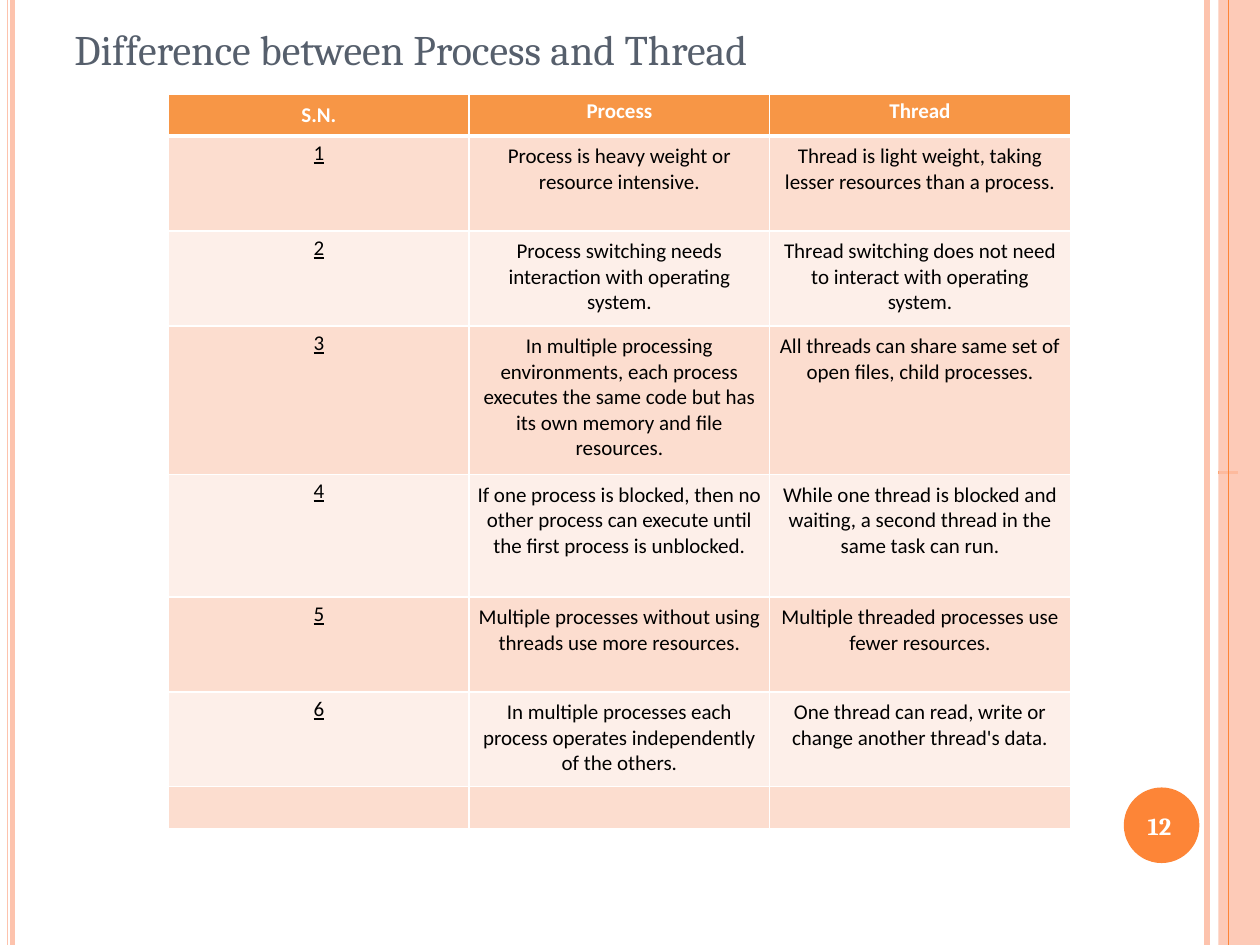
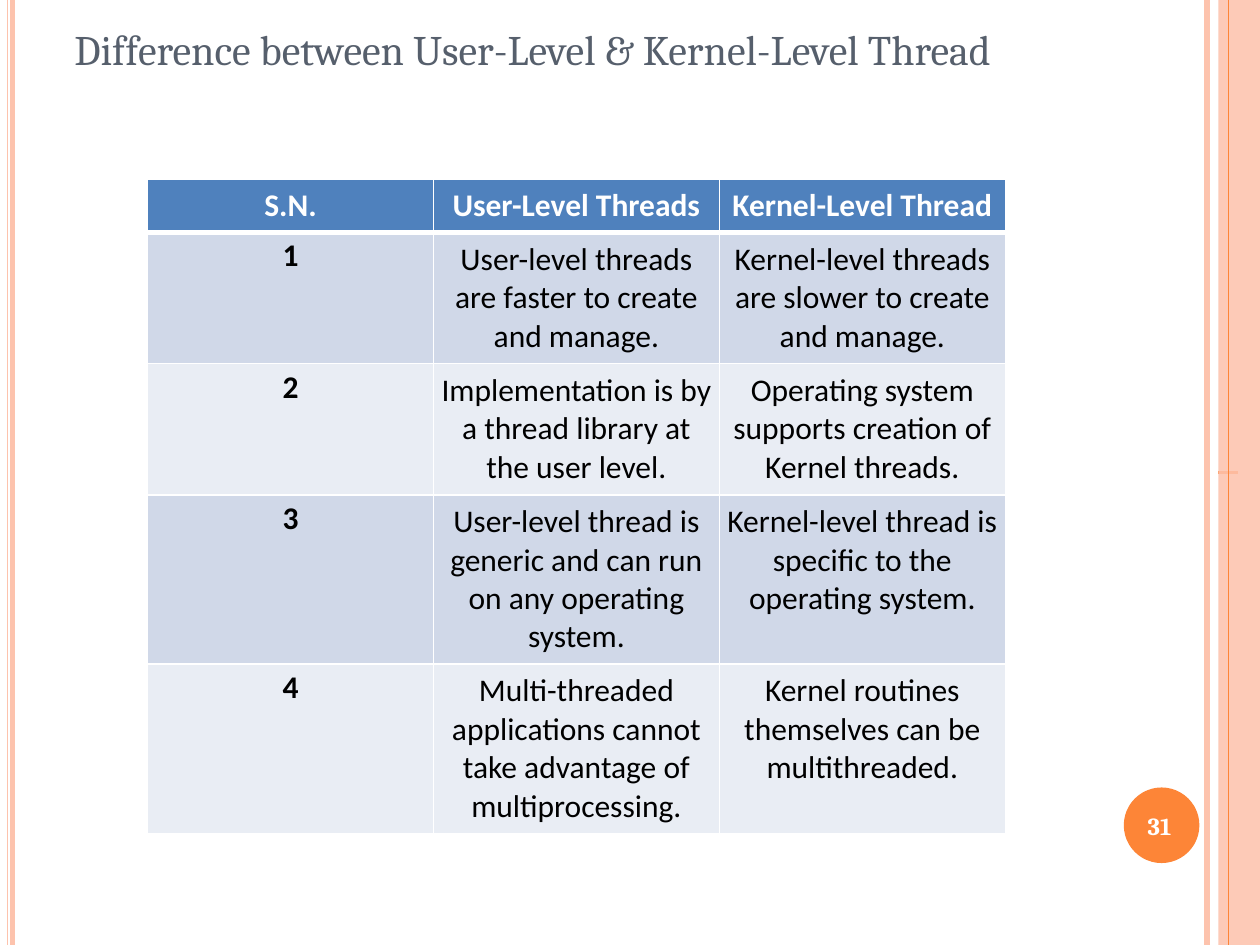
from lxml import etree
from pptx import Presentation
from pptx.dml.color import RGBColor
from pptx.enum import shapes, text
from pptx.oxml.ns import qn
from pptx.util import Pt

COLORS = {
    "title": "565F6C", "peach": "FDC3AD", "orange": "FD8537",
    "white": "FFFFFF", "black": "000000",
}
ORANGE_TABLE = {"head": "F79646", "bands": ("FCDDCF", "FDEFE9")}
BLUE_TABLE = {"head": "4F81BD", "bands": ("D0D8E8", "E9EDF4")}
HEAD_FONT, BODY_FONT = "Cambria", "Calibri"
WIDTH, HEIGHT = 720, 540
ROOMY, TIGHT = (4.5, 4.5), (5.25, 2.6)  # cell insets: sides, top and bottom


def rgb(name):
    return RGBColor.from_string(COLORS.get(name, name))


def add_solid_fill(parent, name):
    fill = etree.SubElement(parent, qn("a:solidFill"))
    return etree.SubElement(fill, qn("a:srgbClr"), val=COLORS[name])


class Deck:
    def __init__(self):
        self.prs = Presentation()
        self.prs.slide_width, self.prs.slide_height = Pt(WIDTH), Pt(HEIGHT)
        self.slide = None

    def new_slide(self, title, number):
        self.slide = self.prs.slides.add_slide(self.prs.slide_layouts[6])
        self.frame()
        self.label(title, (42.5, 13.7, 636, 29), 24, "title")
        page = self.label(str(number), (653.8, 465.1, 20, 16), 14, "white", bold=True)
        page.margin_left = Pt(2)
        page.paragraphs[0].line_spacing = Pt(15.3)

    def frame(self):
        """Draw the side rules, the right band and the page number disc."""
        for x, weight in ((689.8, 3), (7.2, 2.7), (4.3, 0.9)):
            self.line((x, 0, x, HEIGHT), "peach", weight)
        self.line((696.2, 270, 707.3, 270), "orange", 1.5)
        band = self.shape(shapes.MSO_SHAPE.RECTANGLE, (696.2, 0, 23.8, HEIGHT), "peach")
        color = band.fill._xPr.find(qn("a:solidFill"))[0]
        etree.SubElement(color, qn("a:alpha"), val="87000")
        self.line((702, 0, 702, HEIGHT), "orange", 0.75)
        self.shape(shapes.MSO_SHAPE.OVAL, (642.2, 450, 43.2, 43.2), "orange")

    def line(self, ends, color, weight):
        rule = self.slide.shapes.add_connector(
            shapes.MSO_CONNECTOR.STRAIGHT, *(Pt(v) for v in ends))
        rule.line.color.rgb = rgb(color)
        rule.line.width = Pt(weight)
        etree.SubElement(rule._element.spPr, qn("a:effectLst"))

    def shape(self, kind, box, color):
        shape = self.slide.shapes.add_shape(kind, *(Pt(v) for v in box))
        shape.shadow.inherit = False
        shape.fill.solid()
        shape.fill.fore_color.rgb = rgb(color)
        shape.line.fill.background()
        return shape

    def style(self, paragraph, font, size, color, bold=False, underline=False):
        for run in paragraph.runs:
            run.font.name, run.font.size = font, Pt(size)
            run.font.bold, run.font.underline = bold, underline
            run.font.color.rgb = rgb(color)

    def label(self, words, box, size, color, bold=False):
        frame = self.slide.shapes.add_textbox(*(Pt(v) for v in box)).text_frame
        frame.word_wrap = True
        frame.margin_left = frame.margin_right = 0
        frame.margin_top = frame.margin_bottom = 0
        frame.text = words
        self.style(frame.paragraphs[0], HEAD_FONT, size, color, bold)
        return frame

    def borders(self, cell, top, bottom):
        props = cell._tc.get_or_add_tcPr()
        for side, weight in zip("LRTB", (1, 1, top, bottom)):
            edge = etree.SubElement(props, qn(f"a:ln{side}"), w=str(Pt(weight)))
            add_solid_fill(edge, "white")

    def table(self, rows, origin, col_width, heights, size, theme,
              number_style, tight_heads=False):
        columns = len(rows[0])
        table = self.slide.shapes.add_table(
            len(rows), columns, *(Pt(v) for v in origin),
            Pt(col_width * columns), Pt(sum(heights))).table
        for column in table.columns:
            column.width = Pt(col_width)
        for r, (row, height) in enumerate(zip(rows, heights)):
            table.rows[r].height = Pt(height)
            for c, words in enumerate(row):
                cell = table.cell(r, c)
                tight = c == 0 if r else tight_heads and c > 0
                side, end = TIGHT if tight else ROOMY
                if not words:
                    end = 0
                cell.margin_left = cell.margin_right = Pt(side)
                cell.margin_top = cell.margin_bottom = Pt(end)
                self.borders(cell, 3 if r == 1 else 1, 1 if r else 3)
                cell.fill.solid()
                cell.fill.fore_color.rgb = rgb(
                    theme["bands"][(r - 1) % 2] if r else theme["head"])
                if not words:
                    continue
                cell.text_frame.text = words
                paragraph = cell.text_frame.paragraphs[0]
                paragraph.alignment = text.PP_ALIGN.CENTER
                if r == 0:
                    look = {"color": "white", "bold": True}
                else:
                    look = {"color": "black", **(number_style if c == 0 else {})}
                self.style(paragraph, BODY_FONT, size, **look)


def numbered(head, pairs):
    """Put a serial number before each pair, under the head row."""
    return [("S.N.", *head)] + [(str(n), *pair) for n, pair in enumerate(pairs, 1)]


PROCESS_THREAD = numbered(("Process", "Thread"), [
    ("Process is heavy weight or resource intensive.",
     "Thread is light weight, taking lesser resources than a process."),
    ("Process switching needs interaction with operating system.",
     "Thread switching does not need to interact with operating system."),
    ("In multiple processing environments, each process executes the same code "
     "but has its own memory and file resources.",
     "All threads can share same set of open files, child processes."),
    ("If one process is blocked, then no other process can execute until the "
     "first process is unblocked.",
     "While one thread is blocked and waiting, a second thread in the same task can run."),
    ("Multiple processes without using threads use more resources.",
     "Multiple threaded processes use fewer resources."),
    ("In multiple processes each process operates independently of the others.",
     "One thread can read, write or change another thread's data."),
]) + [("", "", "")]

USER_KERNEL = numbered(("User-Level Threads", "Kernel-Level Thread"), [
    ("User-level threads are faster to create and manage.",
     "Kernel-level threads are slower to create and manage."),
    ("Implementation is by a thread library at the user level.",
     "Operating system supports creation of Kernel threads."),
    ("User-level thread is generic and can run on any operating system.",
     "Kernel-level thread is specific to the operating system."),
    ("Multi-threaded applications cannot take advantage of multiprocessing.",
     "Kernel routines themselves can be multithreaded."),
])


def main():
    deck = Deck()
    deck.new_slide("Difference between Process and Thread", 12)
    deck.table(PROCESS_THREAD, (96.3, 54), 171.8,
               (23.8, 54.2, 54.2, 85, 70, 54.2, 54.2, 23.8), 12, ORANGE_TABLE,
               {"underline": True}, tight_heads=True)
    deck.new_slide("Difference between User-Level & Kernel-Level Thread", 31)
    deck.table(USER_KERNEL, (84.3, 102.2), 163.4,
               (30.4, 75, 75, 96.8, 96.8), 18, BLUE_TABLE, {"bold": True})
    deck.prs.save("out.pptx")


if __name__ == "__main__":
    main()
